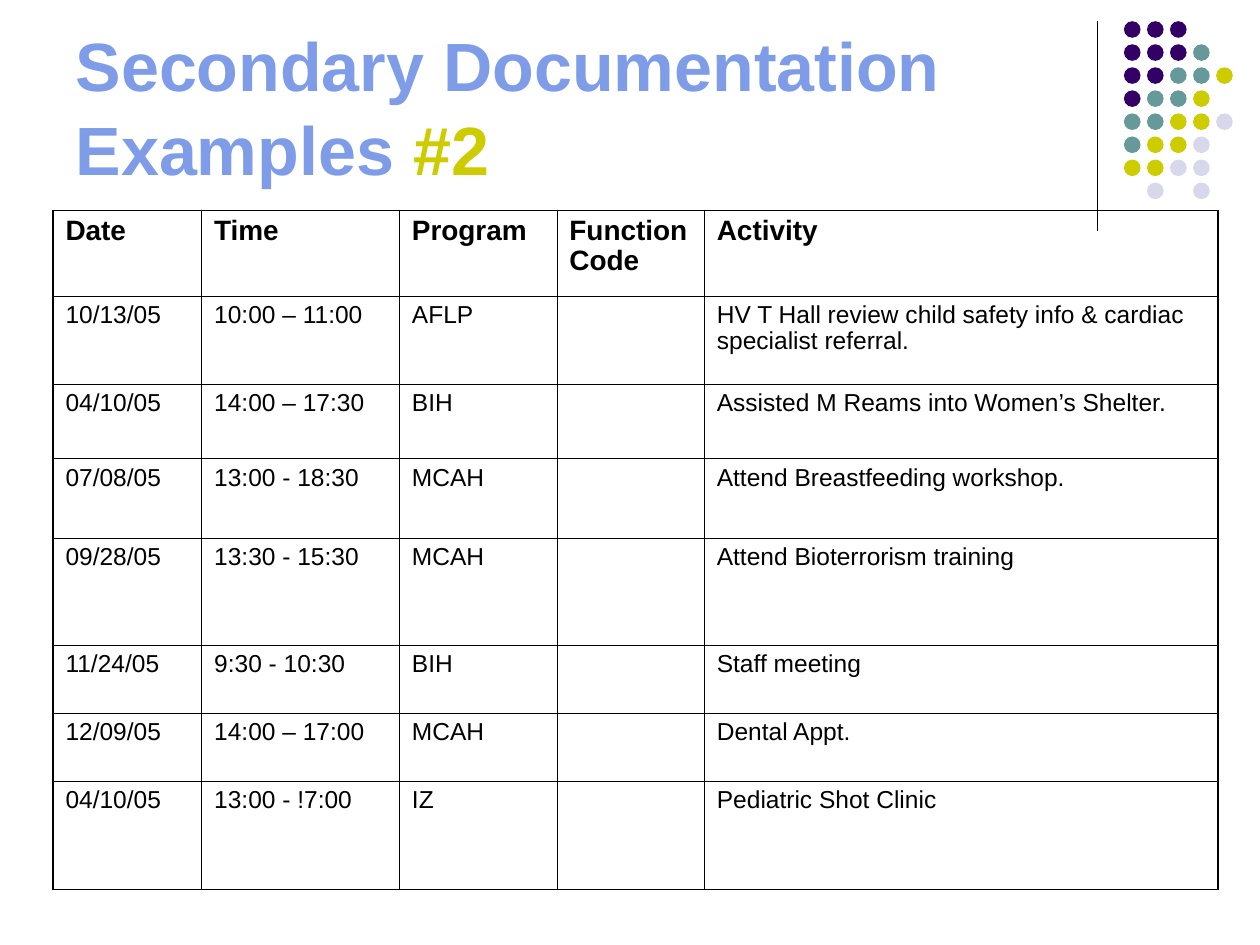
"""Build the slide "Secondary Documentation Examples #2" with its activity table."""
import pptx
import pptx.dml.color
import pptx.enum.shapes
import pptx.enum.text
import pptx.oxml
import pptx.oxml.ns
import pptx.util

THEME = {
    "font": "Arial",
    "title": "7E9CE8", "accent": "CCCC00", "text": "000000",
    "dots": {"P": "330066", "T": "669999", "Y": "CCCC00", "L": "D8D8EC"},
    "title_size": 39, "head_size": 16, "body_size": 14,
    "rule": 0.75, "thin": 0.45, "thick": 1.08,
}
DOTS = ["PPP", "PPPT", "PPTTY", "PTTY", "TTYYL", "TYYL", "YYLL", " L L"]
COLS = [1.18, 1.57, 1.25, 1.17, 4.08]
ROWS = [0.68, 0.7, 0.59, 0.63, 0.85, 0.54, 0.54, 0.86]
ACTIVITIES = [
    ["Date", "Time", "Program", "Function Code", "Activity"],
    ["10/13/05", "10:00 – 11:00", "AFLP", "", "HV T Hall review child safety info & cardiac specialist referral."],
    ["04/10/05", "14:00 – 17:30", "BIH", "", "Assisted M Reams into Women’s Shelter."],
    ["07/08/05", "13:00 - 18:30", "MCAH", "", "Attend Breastfeeding workshop."],
    ["09/28/05", "13:30 - 15:30", "MCAH", "", "Attend Bioterrorism training"],
    ["11/24/05", "9:30 - 10:30", "BIH", "", "Staff meeting"],
    ["12/09/05", "14:00 – 17:00", "MCAH", "", "Dental Appt."],
    ["04/10/05", "13:00 - !7:00", "IZ", "", "Pediatric Shot Clinic"],
]


def add_run(p, text, size, color, bold):
    r = p.add_run()
    r.text = text
    r.font.name = THEME["font"]
    r.font.size = pptx.util.Pt(size)
    r.font.bold = bold
    r.font.color.rgb = pptx.dml.color.RGBColor.from_string(color)


def add_border(cell, side, width):
    cell._tc.get_or_add_tcPr().append(pptx.oxml.parse_xml(
        f'<a:ln{side} {pptx.oxml.ns.nsdecls("a")} w="{pptx.util.Pt(width)}"><a:solidFill>'
        f'<a:srgbClr val="{THEME["text"]}"/></a:solidFill></a:ln{side}>'))


prs = pptx.Presentation()
prs.slide_width = pptx.util.Inches(10)
prs.slide_height = pptx.util.Inches(7.5)
s = prs.slides.add_slide(prs.slide_layouts[5])
px = prs.slide_width / 100
py = prs.slide_height / 100

sp = s.shapes.title
sp.left, sp.top, sp.width, sp.height = int(5 * px), int(1.73 * py), int(82.5 * px), int(18.93 * py)
tf = sp.text_frame
tf.word_wrap = True
tf.auto_size = pptx.enum.text.MSO_AUTO_SIZE.NONE
tf.vertical_anchor = pptx.enum.text.MSO_ANCHOR.BOTTOM
p = tf.paragraphs[0]
p.alignment = pptx.enum.text.PP_ALIGN.LEFT
p.line_spacing = 1.02
add_run(p, "Secondary Documentation ", THEME["title_size"], THEME["title"], True)
p.add_line_break()
add_run(p, "Examples ", THEME["title_size"], THEME["title"], True)
add_run(p, "#2", THEME["title_size"], THEME["accent"], True)

rule = s.shapes.add_connector(pptx.enum.shapes.MSO_CONNECTOR.STRAIGHT,
                              int(87.1 * px), int(2.27 * py), int(87.1 * px), int(24.4 * py))
rule.line.width = pptx.util.Pt(THEME["rule"])
rule.line.color.rgb = pptx.dml.color.RGBColor.from_string(THEME["text"])
rule._element.spPr.append(pptx.oxml.parse_xml(f'<a:effectLst {pptx.oxml.ns.nsdecls("a")}/>'))

pitch, size = 1.83 * px, int(1.32 * px)
for row, pattern in enumerate(DOTS):
    for col, key in enumerate(pattern):
        if key == " ":
            continue
        sp = s.shapes.add_shape(pptx.enum.shapes.MSO_SHAPE.OVAL, int(89.2 * px + col * pitch),
                                int(2.24 * py + row * pitch), size, size)
        sp.shadow.inherit = False
        sp.fill.solid()
        sp.fill.fore_color.rgb = pptx.dml.color.RGBColor.from_string(THEME["dots"][key])
        sp.line.fill.background()

width, height = 92.5 * px, 71.87 * py
table = s.shapes.add_table(len(ROWS), len(COLS), int(4.2 * px), int(22.27 * py),
                           int(width), int(height)).table
table.first_row = False
table.horz_banding = False
for column, share in zip(table.columns, COLS):
    column.width = int(width * share / sum(COLS))
for line, share in zip(table.rows, ROWS):
    line.height = int(height * share / sum(ROWS))

for row, texts in enumerate(ACTIVITIES):
    head = row == 0
    text_size = THEME["head_size"] if head else THEME["body_size"]
    for col, text in enumerate(texts):
        cell = table.cell(row, col)
        edges = {"L": col == 0, "R": col == len(COLS) - 1, "T": head, "B": row == len(ROWS) - 1}
        for side, outer in edges.items():
            add_border(cell, side, THEME["thick"] if outer else THEME["thin"])
        cell.fill.background()
        if text:
            p = cell.text_frame.paragraphs[0]
            p.line_spacing = 0.96
            add_run(p, text, text_size, THEME["text"], head)

prs.save("out.pptx")
